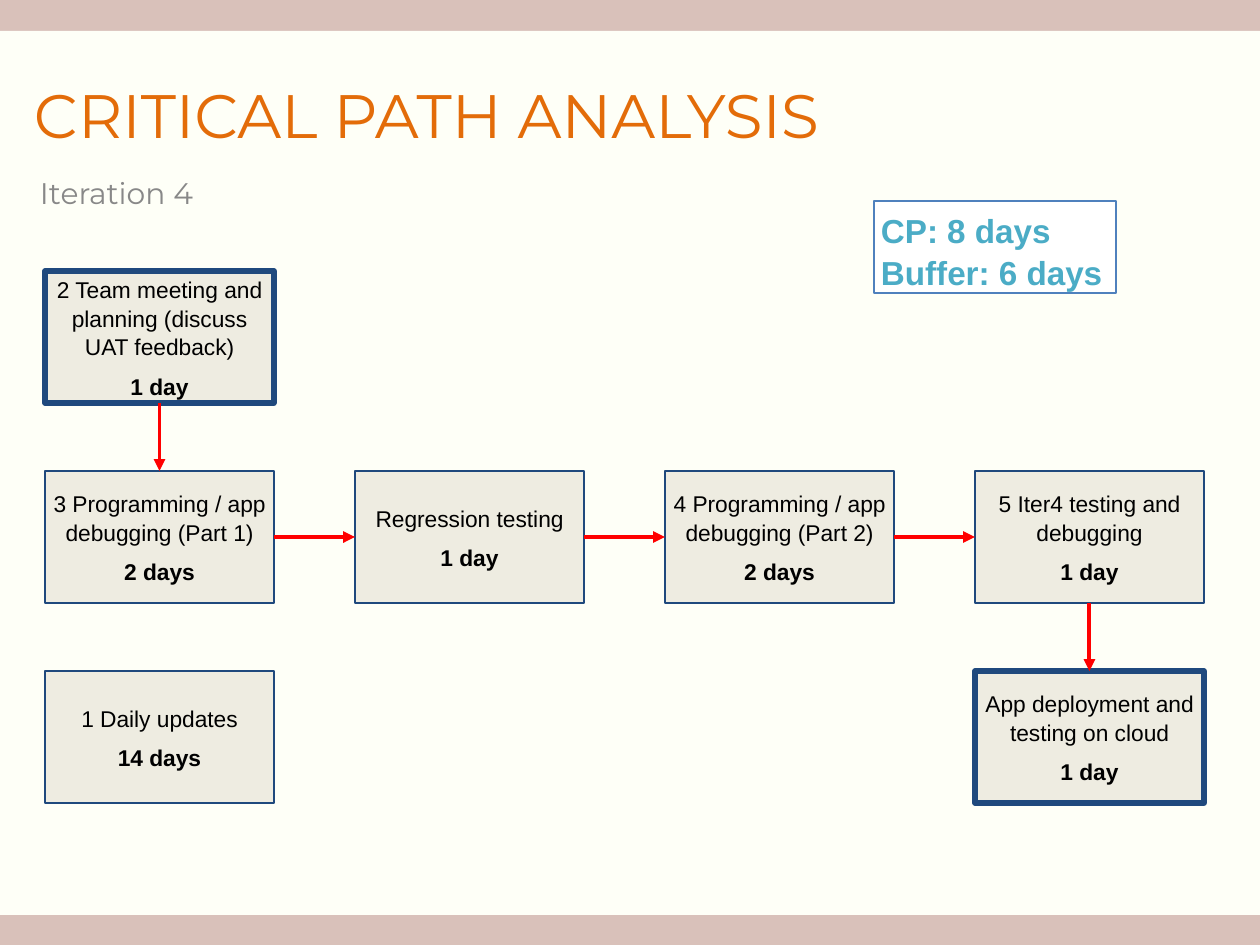
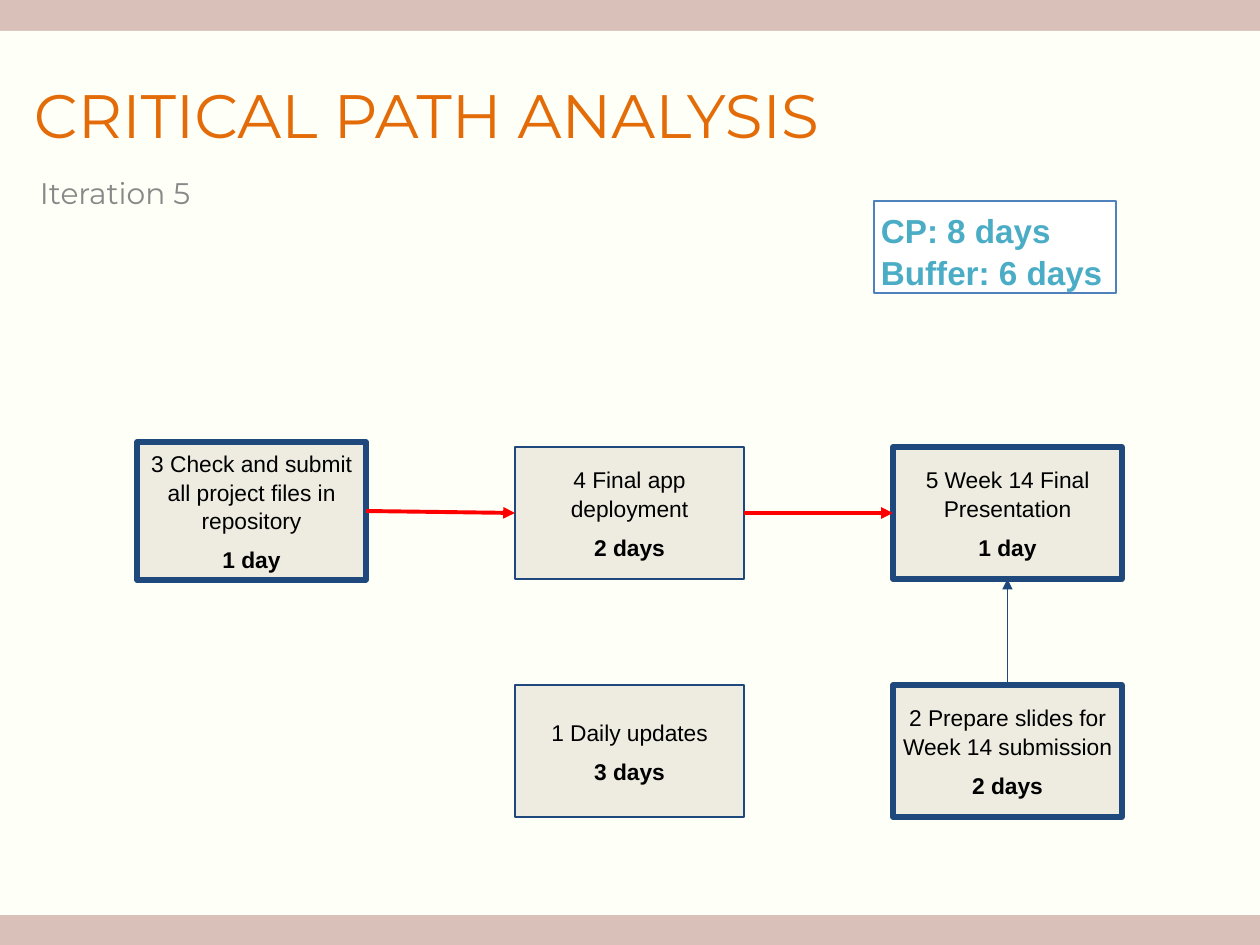
from lxml import etree
from pptx import Presentation
from pptx import util as u
from pptx.dml.color import RGBColor
from pptx.enum import shapes, text
from pptx.oxml.ns import qn

C = {
    "band": "D9C1BA", "paper": "FEFFF7", "title": "E36C09", "sub": "888888",
    "task": "EEECE1", "navy": "1F497D", "red": "FF0000", "white": "FFFFFF",
    "blue": "4F81BD", "aqua": "4BACC6", "black": "000000",
}
PX = u.Inches(1) / 126
W, H = 1260, 945
BAND = 31
TASK_W, TASK_H = 229, 132
PAD = 7
TOP, LEFT, BOTTOM, RIGHT = range(4)


def px(n):
    return u.Emu(round(n * PX))


def rgb(name):
    return RGBColor.from_string(C[name])


def write(p, words, size, color, font="Arial", bold=False, align="LEFT", gap=0, spacing=1.0):
    p.alignment = getattr(text.PP_ALIGN, align)
    p.space_before = p.space_after = u.Pt(gap)
    p.line_spacing = spacing
    r = p.add_run()
    r.text = words
    r.font.size, r.font.name, r.font.bold = u.Pt(size), font, bold
    r.font.color.rgb = rgb(color)


class Deck:
    def __init__(self):
        self.prs = Presentation()
        self.prs.slide_width, self.prs.slide_height = px(W), px(H)
        self.s = None

    def frame(self, sp, pads, anchor="TOP"):
        tf = sp.text_frame
        tf.word_wrap = True
        tf.vertical_anchor = getattr(text.MSO_ANCHOR, anchor)
        tf.margin_left, tf.margin_top, tf.margin_right, tf.margin_bottom = map(px, pads)
        return tf

    def rect(self, x, y, w, h, fill, line=None, weight=0.75):
        sp = self.s.shapes.add_shape(shapes.MSO_SHAPE.RECTANGLE, px(x), px(y), px(w), px(h))
        sp.shadow.inherit = False
        sp.fill.solid()
        sp.fill.fore_color.rgb = rgb(fill)
        if line:
            sp.line.color.rgb = rgb(line)
            sp.line.width = u.Pt(weight)
        else:
            sp.line.fill.background()
        return sp

    def label(self, x, y, w, h, words, pads, **style):
        sp = self.s.shapes.add_textbox(px(x), px(y), px(w), px(h))
        write(self.frame(sp, pads).paragraphs[0], words, font="Montserrat", **style)

    def slide(self, subtitle, title_w, subtitle_w):
        self.s = self.prs.slides.add_slide(self.prs.slide_layouts[6])
        # Bands and paper
        for y in (0, H - BAND):
            self.rect(0, y, W, BAND, "band")
        self.rect(0, BAND, W, H - 2 * BAND + 1, "paper")
        # Headings
        self.label(33, 76, title_w, 92, "CRITICAL PATH ANALYSIS", (1, 1, 0, 0),
                   size=35, color="title")
        self.label(33, 168, subtitle_w, 76, subtitle, [PAD] * 4, size=17, color="sub")

    def summary(self, *lines):
        sp = self.rect(874, 201, 242, 92, "white", "blue")
        tf = self.frame(sp, [PAD] * 4)
        for i, words in enumerate(lines):
            p = tf.add_paragraph() if i else tf.paragraphs[0]
            write(p, words, 19, "aqua", bold=True, spacing=1.05)

    def task(self, x, y, name, duration, endpoint=False, h=TASK_H):
        sp = self.rect(x, y, TASK_W, h, "task", "navy", 3 if endpoint else 0.75)
        tf = self.frame(sp, [PAD] * 4, "MIDDLE")
        write(tf.paragraphs[0], name, 13, "black", align="CENTER", spacing=1.05)
        write(tf.add_paragraph(), duration, 13, "black", bold=True, align="CENTER",
              gap=6, spacing=1.05)
        return sp

    def arrow(self, a, a_side, b, b_side, color="red", weight=2.25):
        cn = self.s.shapes.add_connector(shapes.MSO_CONNECTOR.STRAIGHT, 0, 0, 0, 0)
        cn.begin_connect(a, a_side)
        cn.end_connect(b, b_side)
        cn.line.color.rgb = rgb(color)
        cn.line.width = u.Pt(weight)
        etree.SubElement(cn.line._get_or_add_ln(), qn("a:tailEnd"), type="triangle")
        etree.SubElement(cn._element.spPr, qn("a:effectLst"))


def iteration_4(d):
    d.slide("Iteration 4", 1100, 862)
    xs = [45 + 310 * i for i in range(4)]
    ys = [271 + 200 * i for i in range(3)]

    # Tasks
    meeting = d.task(xs[0], ys[0], "2 Team meeting and planning (discuss UAT feedback)",
                     "1 day", endpoint=True)
    row = [d.task(x, ys[1], *words) for x, words in zip(xs, [
        ("3 Programming / app debugging (Part 1)", "2 days"),
        ("Regression testing", "1 day"),
        ("4 Programming / app debugging (Part 2)", "2 days"),
        ("5 Iter4 testing and debugging", "1 day"),
    ])]
    d.task(xs[0], ys[2], "1 Daily updates", "14 days")
    deploy = d.task(xs[3], ys[2], "App deployment and testing on cloud", "1 day", endpoint=True)

    # Critical path
    d.arrow(meeting, BOTTOM, row[0], TOP)
    for a, b in zip(row, row[1:]):
        d.arrow(a, RIGHT, b, LEFT)
    d.arrow(row[-1], BOTTOM, deploy, TOP)
    d.summary("CP: 8 days", "Buffer: 6 days")


def iteration_5(d):
    d.slide("Iteration 5", 1034, 391)
    xs = [137 + 378 * i for i in range(3)]
    upper, lower = 447, 685

    # Tasks
    submit = d.task(xs[0], 442, "3 Check and submit all project files in repository",
                    "1 day", endpoint=True, h=138)
    deploy = d.task(xs[1], upper, "4 Final app deployment", "2 days")
    present = d.task(xs[2], upper, "5 Week 14 Final Presentation", "1 day", endpoint=True)
    d.task(xs[1], lower, "1 Daily updates", "3 days")
    prepare = d.task(xs[2], lower, "2 Prepare slides for Week 14 submission", "2 days",
                     endpoint=True)

    # Critical path and side task
    d.arrow(submit, RIGHT, deploy, LEFT)
    d.arrow(deploy, RIGHT, present, LEFT)
    d.arrow(prepare, TOP, present, BOTTOM, "navy", 0.75)
    d.summary("CP: 8 days", "Buffer: 6 days")


def main():
    d = Deck()
    iteration_4(d)
    iteration_5(d)
    d.prs.save("out.pptx")


if __name__ == "__main__":
    main()
